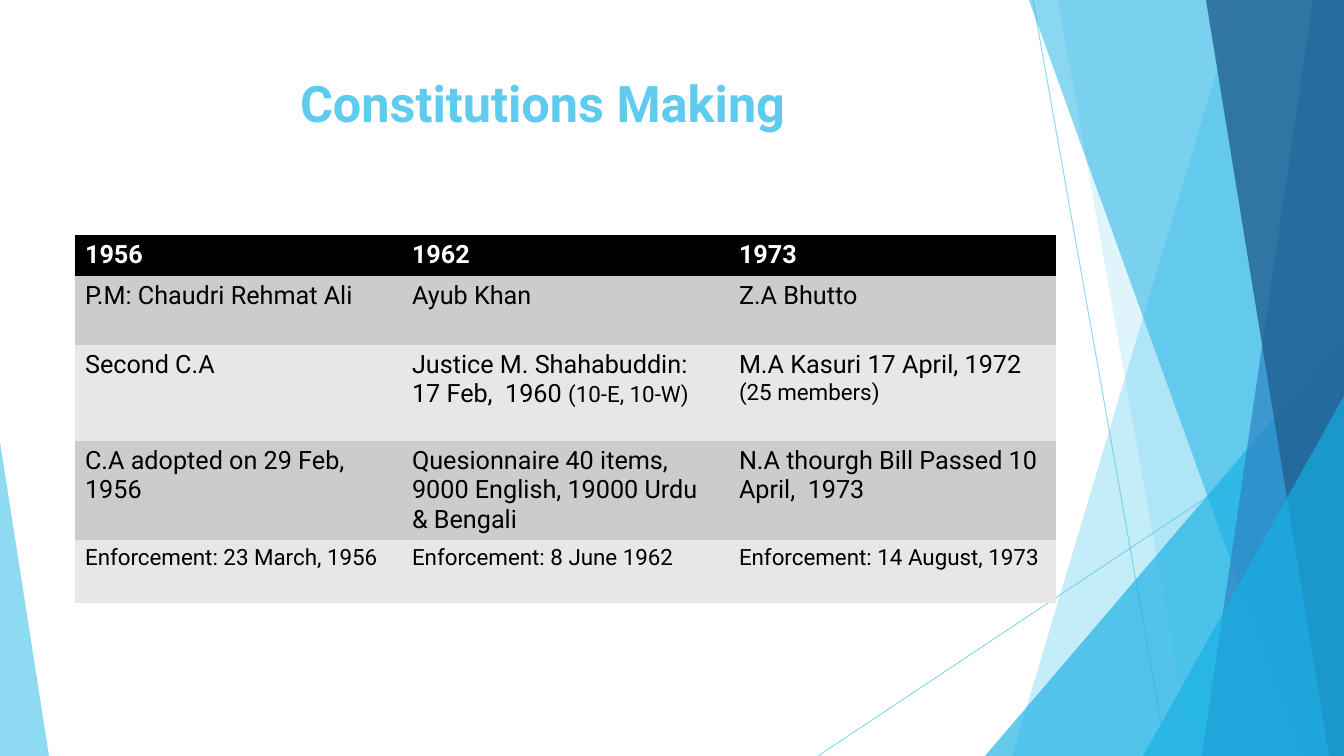
from pptx import Presentation
from pptx.dml.color import RGBColor
from pptx.enum.shapes import MSO_CONNECTOR, MSO_SHAPE
from pptx.enum.text import MSO_ANCHOR, PP_ALIGN
from pptx.oxml.ns import qn
from pptx.util import Pt
from lxml.etree import SubElement

PX = 914400 / 100.8
WIDTH, HEIGHT = 1344, 756
FONT = "Roboto"
NO_GRID_STYLE = "{2D5ABB26-0587-4C30-8999-92F81FD0307C}"

SKY = RGBColor(0x5F, 0xCB, 0xEF)
CYAN = RGBColor(0x17, 0xB0, 0xE4)
BLUE = RGBColor(0x2E, 0x83, 0xC3)
NAVY = RGBColor(0x22, 0x62, 0x92)
WHITE = RGBColor(0xFF, 0xFF, 0xFF)
BLACK = RGBColor(0x00, 0x00, 0x00)
GREY = RGBColor(0xCC, 0xCC, 0xCC)
PALE = RGBColor(0xE7, 0xE7, 0xE7)

# Each facet runs to the right edge: top x, bottom x, colour, opacity
BACK_FACETS = [(1238, 1012, SKY, 36), (1058, 1192, SKY, 20)]
FRONT_FACETS = [(1029, 1301, CYAN, 50), (1313, 1202, BLUE, 70),
                (1206, 1329, NAVY, 80)]

COLUMN_WIDTH = 327
ROW_HEIGHTS = [41, 69, 96, 98, 63]
# Each cell is a list of (text, size) spans
ROWS = [
    [[("1956", 18)], [("1962", 18)], [("1973", 18)]],
    [[("P.M: Chaudri Rehmat Ali", 18)], [("Ayub Khan", 18)],
     [("Z.A Bhutto", 18)]],
    [[("Second C.A", 18)],
     [("Justice M. Shahabuddin: 17 Feb,  1960 ", 18), ("(10-E, 10-W)", 16)],
     [("M.A Kasuri 17 April, 1972 ", 18), ("(25 members)", 16)]],
    [[("C.A adopted on 29 Feb, 1956", 18)],
     [("Quesionnaire 40 items, 9000 English, 19000 Urdu & Bengali", 18)],
     [("N.A thourgh Bill Passed 10 April,  1973", 18)]],
    [[("Enforcement: 23 March, 1956", 16)], [("Enforcement: 8 June 1962", 16)],
     [("Enforcement: 14 August, 1973", 16)]],
]


def px(length):
    return round(length * PX)


def set_opacity(shape, percent):
    for color in shape.element.iter(qn("a:srgbClr")):
        SubElement(color, qn("a:alpha"), val=str(percent * 1000))


def paint(shape, color, opacity):
    shape.shadow.inherit = False
    shape.fill.solid()
    shape.fill.fore_color.rgb = color
    shape.line.fill.background()
    set_opacity(shape, opacity)


def add_line(page, *ends):
    line = page.shapes.add_connector(MSO_CONNECTOR.STRAIGHT, *map(px, ends))
    line.line.color.rgb = SKY
    line.line.width = Pt(0.75)
    set_opacity(line, 70)
    SubElement(line.element.spPr, qn("a:effectLst"))


def add_facet(page, top_x, bottom_x, color, opacity):
    outline = page.shapes.build_freeform(top_x, 0, scale=PX)
    outline.add_line_segments([(WIDTH, 0), (WIDTH, HEIGHT), (bottom_x, HEIGHT)])
    paint(outline.convert_to_shape(), color, opacity)


def add_triangle(page, left, top, width, apex, color, opacity):
    triangle = page.shapes.add_shape(
        MSO_SHAPE.ISOSCELES_TRIANGLE, px(left), px(top), px(width), px(HEIGHT - top))
    triangle.adjustments[0] = apex
    paint(triangle, color, opacity)


def format_span(span, size, color, bold):
    span.font.name = FONT
    span.font.size = Pt(size)
    span.font.color.rgb = color
    span.font.bold = bold


def add_background(page):
    add_line(page, 1033, 0, 1167, HEIGHT)
    add_line(page, WIDTH, 406, 818, HEIGHT)
    for facet in BACK_FACETS:
        add_facet(page, *facet)
    add_triangle(page, 985, 336, 359, 1, CYAN, 66)
    for facet in FRONT_FACETS:
        add_facet(page, *facet)
    add_triangle(page, 1143, 396, 201, 1, CYAN, 66)
    add_triangle(page, 0, 442, 49, 0, SKY, 70)


def set_title(page, text):
    title = page.shapes.title
    title.left, title.top, title.width, title.height = map(px, (75, 67, 948, 146))
    title.text_frame.text = text
    title.text_frame.vertical_anchor = MSO_ANCHOR.TOP
    para = title.text_frame.paragraphs[0]
    para.alignment = PP_ALIGN.CENTER
    format_span(para.runs[0], 36, SKY, True)


def fill_cell(cell, spans, row_index):
    header = row_index == 0
    cell.fill.solid()
    cell.fill.fore_color.rgb = BLACK if header else GREY if row_index % 2 else PALE
    para = cell.text_frame.paragraphs[0]
    for text, size in spans:
        span = para.add_run()
        span.text = text
        format_span(span, size, WHITE if header else BLACK, header)


def add_constitution_table(page):
    columns = len(ROWS[0])
    frame = page.shapes.add_table(
        len(ROWS), columns, px(75), px(235),
        px(COLUMN_WIDTH * columns), px(sum(ROW_HEIGHTS)))
    for style in frame.element.iter(qn("a:tableStyleId")):
        style.text = NO_GRID_STYLE
    table = frame.table
    for column in table.columns:
        column.width = px(COLUMN_WIDTH)
    for row_index, (height, row) in enumerate(zip(ROW_HEIGHTS, ROWS)):
        table.rows[row_index].height = px(height)
        for column_index, spans in enumerate(row):
            fill_cell(table.cell(row_index, column_index), spans, row_index)


def main():
    deck = Presentation()
    deck.slide_width, deck.slide_height = px(WIDTH), px(HEIGHT)
    page = deck.slides.add_slide(deck.slide_layouts[5])  # Title Only
    add_background(page)
    set_title(page, "Constitutions Making ")
    add_constitution_table(page)
    deck.save("out.pptx")


if __name__ == "__main__":
    main()
